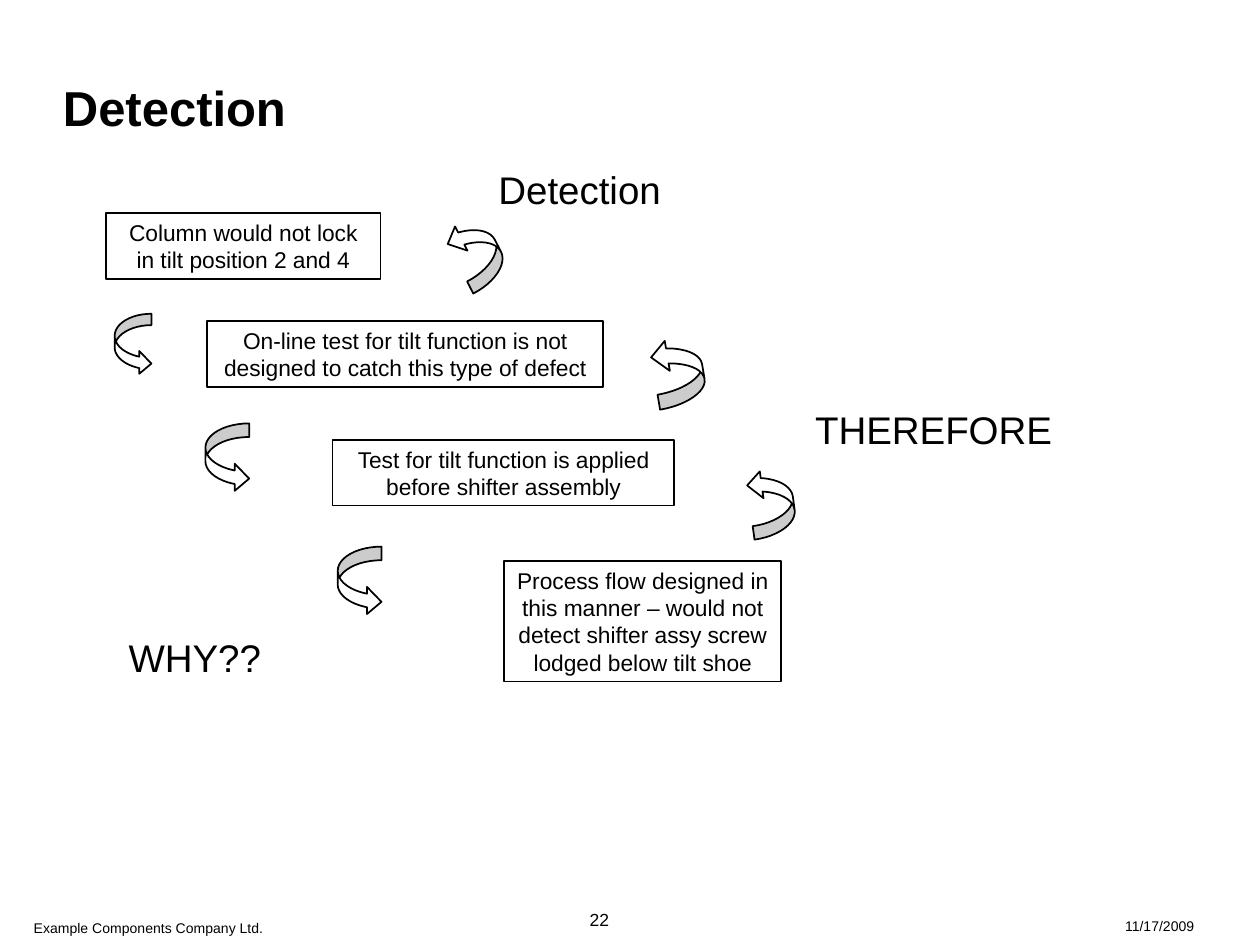
from dataclasses import dataclass

from pptx import Presentation
from pptx.dml.color import RGBColor as RGB
from pptx.enum.shapes import MSO_SHAPE as Kind
from pptx.enum.text import MSO_ANCHOR as Anchor, PP_ALIGN as Align
from pptx.util import Pt


@dataclass(frozen=True)
class Theme:
    font: str = "Arial"
    ink: RGB = RGB(0, 0, 0)
    paper: RGB = RGB(255, 255, 255)
    line: float = 1
    title: float = 28
    label: float = 22
    body: float = 13
    page: float = 10
    foot: float = 8


T = Theme()
TIGHT = (6.8, 3.2)
LOOSE = (7.2, 3.6)

# Text, left, top, width, height
STEPS = [
    ("Column would not lock in tilt position 2 and 4", 60.4, 121.9, 157, 37.5),
    ("On-line test for tilt function is not designed to catch this type of defect",
     118.4, 183.5, 226, 37.5),
    ("Test for tilt function is applied before shifter assembly", 190.1, 251.4, 195.2, 37.5),
    ("Process flow designed in this manner – would not detect shifter assy screw "
     "lodged below tilt shoe", 288, 320.5, 158.4, 69),
]
LABELS = [
    ("Detection", 260, 91.5, 142.5, 33, Align.CENTER),
    ("THEREFORE", 459, 228.6, 196.5, 33, Align.LEFT),
    ("WHY??", 45.4, 359, 131.8, 33, Align.CENTER),
]
FOOT = [
    ("Example Components Company Ltd.", 12.2, 522, 324, 26, T.foot),
    ("22", 329.8, 516.2, 48, 19.4, T.page),
    ("11/17/2009", 635.8, 520.6, 102, 17.3, T.foot),
]
# Left, top, width, height, turn
ARROWS = [
    (65.5, 179.3, 21, 35, 0),
    (117.4, 242, 25, 39.3, 0),
    (193, 312.4, 25, 39.3, 0),
    (428.4, 267.8, 25, 39, 172.2),
    (373.7, 193, 28, 39, 170.2),
    (260, 124.6, 25, 39.6, 152.7),
]
# Band, head width and head length, as shares of the arrow width
BEND = (0.31, 0.62, 0.33)

deck = Presentation()
deck.slide_width, deck.slide_height = Pt(720), Pt(540)
slide = deck.slides.add_slide(deck.slide_layouts[6])


def write(shape, text, size, pad, align=Align.LEFT, anchor=Anchor.TOP, bold=False):
    frame = shape.text_frame
    frame.word_wrap = True
    frame.vertical_anchor = anchor
    frame.margin_left = frame.margin_right = Pt(pad[0])
    frame.margin_top = frame.margin_bottom = Pt(pad[1])
    frame.text = text
    para = frame.paragraphs[0]
    para.alignment = align
    font = para.runs[0].font
    font.name, font.size, font.bold = T.font, Pt(size), bold
    font.color.rgb = T.ink


def label(text, box, size, pad, **style):
    write(slide.shapes.add_textbox(*map(Pt, box)), text, size, pad, **style)


def draw(kind, box):
    shape = slide.shapes.add_shape(kind, *map(Pt, box))
    shape.shadow.inherit = False
    shape.line.color.rgb = T.ink
    shape.line.width = Pt(T.line)
    return shape


for text, *box, size in FOOT:
    label(text, box, size, LOOSE)

label("Detection", (36, 5.8, 468, 72), T.title, (0, 0), anchor=Anchor.BOTTOM, bold=True)

for text, *box in STEPS:
    step = draw(Kind.RECTANGLE, box)
    step.fill.background()
    write(step, text, T.body, TIGHT, Align.CENTER, Anchor.MIDDLE)

for text, *box, align in LABELS:
    label(text, box, T.label, TIGHT, align=align, anchor=Anchor.MIDDLE)

for *box, turn in ARROWS:
    arrow = draw(Kind.CURVED_RIGHT_ARROW, box)
    arrow.fill.solid()
    arrow.fill.fore_color.rgb = T.paper
    arrow.rotation = turn
    for i, share in enumerate(BEND):
        arrow.adjustments[i] = share

deck.save("out.pptx")
